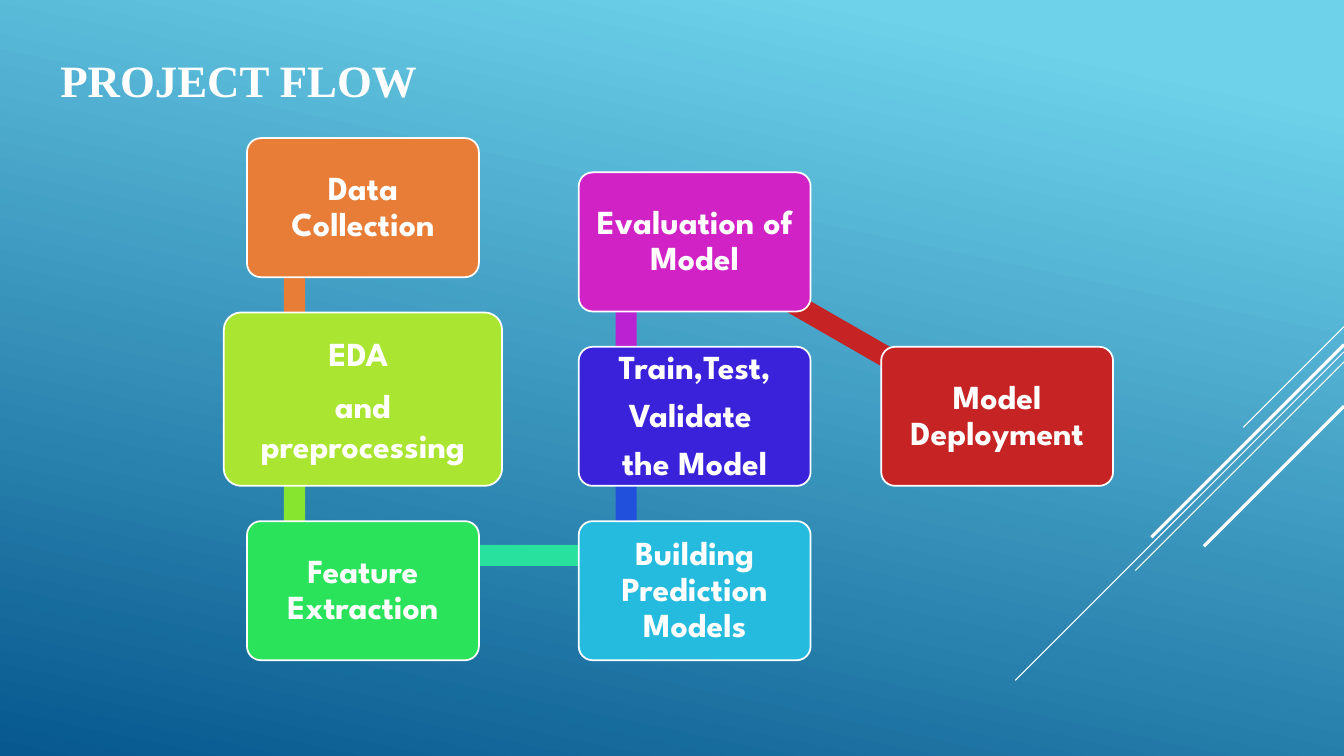
from dataclasses import dataclass

from lxml.etree import SubElement
from pptx import Presentation
from pptx.dml.color import RGBColor as Rgb
from pptx.enum.shapes import MSO_CONNECTOR as Line, MSO_SHAPE as Shape
from pptx.enum.text import MSO_ANCHOR as Anchor, MSO_AUTO_SIZE as Fit, PP_ALIGN as Align
from pptx.oxml.ns import qn
from pptx.util import Inches, Pt


@dataclass(frozen=True)
class Theme:
    """Colours, fonts and sizes of the slide."""
    white: str = "FFFFFF"
    light: str = "6ED2EB"
    dark: str = "06588E"
    orange: str = "E87D37"
    lime: str = "AAE531"
    leaf: str = "87E530"
    green: str = "2BE25B"
    mint: str = "28E19E"
    cyan: str = "25BBDF"
    blue: str = "2150DD"
    indigo: str = "3922D9"
    violet: str = "BB22D1"
    pink: str = "D022C5"
    red: str = "C62324"
    serif: str = "Times New Roman"
    sans: str = "League Spartan"
    head: int = 32
    body: int = 24
    gap: float = 8.4
    edge: float = 1.25
    thin: float = 0.75
    thick: float = 2.25


T = Theme()


def apply(obj, form):
    """Set each attribute named in the format dict."""
    for key, val in form.items():
        setattr(obj, key, val)


def write(frame, lines, face, size, form):
    """Write one bold white paragraph per line."""
    for i, line in enumerate(lines):
        para = frame.add_paragraph() if i else frame.paragraphs[0]
        apply(para, form)
        run = para.add_run()
        run.text = line
        apply(run.font, {"name": face, "size": Pt(size), "bold": True})
        run.font.color.rgb = Rgb.from_string(T.white)


def block(slide, kind, box, tint):
    """Add a flat filled shape in the box."""
    item = slide.shapes.add_shape(kind, *map(Inches, box))
    item.shadow.inherit = False
    item.fill.solid()
    item.fill.fore_color.rgb = Rgb.from_string(tint)
    item.line.fill.background()
    return item


def paint(slide):
    """Fill the background with the gradient."""
    fill = slide.background.fill
    fill.gradient()
    fill.gradient_angle = 258
    for stop, spot, tint in zip(fill.gradient_stops, (0.1, 1), (T.light, T.dark)):
        stop.position = spot
        stop.color.rgb = Rgb.from_string(tint)


def rays(slide, box):
    """Draw the diagonal lines down from the right side of the box."""
    left, top, width, _ = box
    right = left + width
    for drop, size, weight in ((0, 1, T.thin), (0.25, 3.26, T.thin), (0.35, 2.07, T.thin),
                               (0.18, 1.91, T.thick), (0.79, 1.39, T.thick)):
        y = top + drop
        ray = slide.shapes.add_connector(
            Line.STRAIGHT, *map(Inches, (right, y, right - size, y + size)))
        ray.line.color.rgb = Rgb.from_string(T.white)
        ray.line.width = Pt(weight)
        SubElement(ray._element.spPr, qn("a:effectLst"))


def title(slide, box):
    """Place the slide title in the box."""
    frame = slide.shapes.add_textbox(*map(Inches, box)).text_frame
    apply(frame, {"word_wrap": True, "auto_size": Fit.SHAPE_TO_FIT_TEXT})
    write(frame, ["PROJECT FLOW"], T.serif, T.head, {})


def link(slide, x, y, size, turn, tint):
    """Add a turned bar centred on the point."""
    thick = 0.21
    bar = block(slide, Shape.RECTANGLE, (x - size / 2, y - thick / 2, size, thick), tint)
    bar.rotation = turn


def card(slide, box, lines, tint, pitch):
    """Add a rounded step with its centred label."""
    item = block(slide, Shape.ROUNDED_RECTANGLE, box, tint)
    item.adjustments[0] = 0.1
    item.line.color.rgb = Rgb.from_string(T.white)
    item.line.width = Pt(T.edge)
    frame = item.text_frame
    sides = ("left", "right", "top", "bottom")
    apply(frame, {f"margin_{side}": Inches(0.1) for side in sides})
    apply(frame, {"word_wrap": True, "vertical_anchor": Anchor.MIDDLE})
    write(frame, lines, T.sans, T.body, {
        "alignment": Align.CENTER, "line_spacing": pitch, "space_after": Pt(T.gap)})


def flow(slide, box):
    """Lay out the steps and the bars that join them."""
    left, top, _, _ = box
    one, two, three = 0.23, 3.52, 6.52
    low, mid, high = 3.8, 2.07, 0.34
    inset = 0.47
    bars = (
        (one + inset, 1.3, 1.89, 90, T.orange),
        (one + inset, 3.2, 1.89, 90, T.leaf),
        (2.34, 4.14, 3.28, 0, T.mint),
        (two + inset, 3.28, 1.72, 270, T.blue),
        (two + inset, 1.55, 1.72, 270, T.violet),
        (5.49, 1.55, 3.46, 29.9, T.red),
    )
    for x, y, *rest in bars:
        link(slide, left + x, top + y, *rest)
    norm, wide = (2.3, 1.38), (2.76, 1.72)
    steps = (
        (one, 0, norm, ["Data Collection"], T.orange, 0.9),
        (0, 1.73, wide, ["EDA ", "and preprocessing"], T.lime, 1.0),
        (one, low, norm, ["Feature Extraction"], T.green, 0.9),
        (two, low, norm, ["Building Prediction Models"], T.cyan, 0.9),
        (two, mid, norm, ["Train,Test,", "Validate ", "the Model"], T.indigo, 0.9),
        (two, high, norm, ["Evaluation of Model"], T.pink, 0.9),
        (three, mid, norm, ["Model Deployment"], T.red, 0.9),
    )
    for x, y, size, *rest in steps:
        card(slide, (left + x, top + y, *size), *rest)


def main():
    """Build the slide and save the deck."""
    deck = Presentation()
    apply(deck, {"slide_width": Inches(13.33), "slide_height": Inches(7.5)})
    slide = deck.slides.add_slide(deck.slide_layouts[6])
    paint(slide)
    rays(slide, (10.07, 3.24, 3.26, 3.51))
    title(slide, (0.5, 0.47, 6.05, 0.64))
    flow(slide, (2.22, 1.37, 8.82, 5.18))
    deck.save("out.pptx")


if __name__ == "__main__":
    main()
